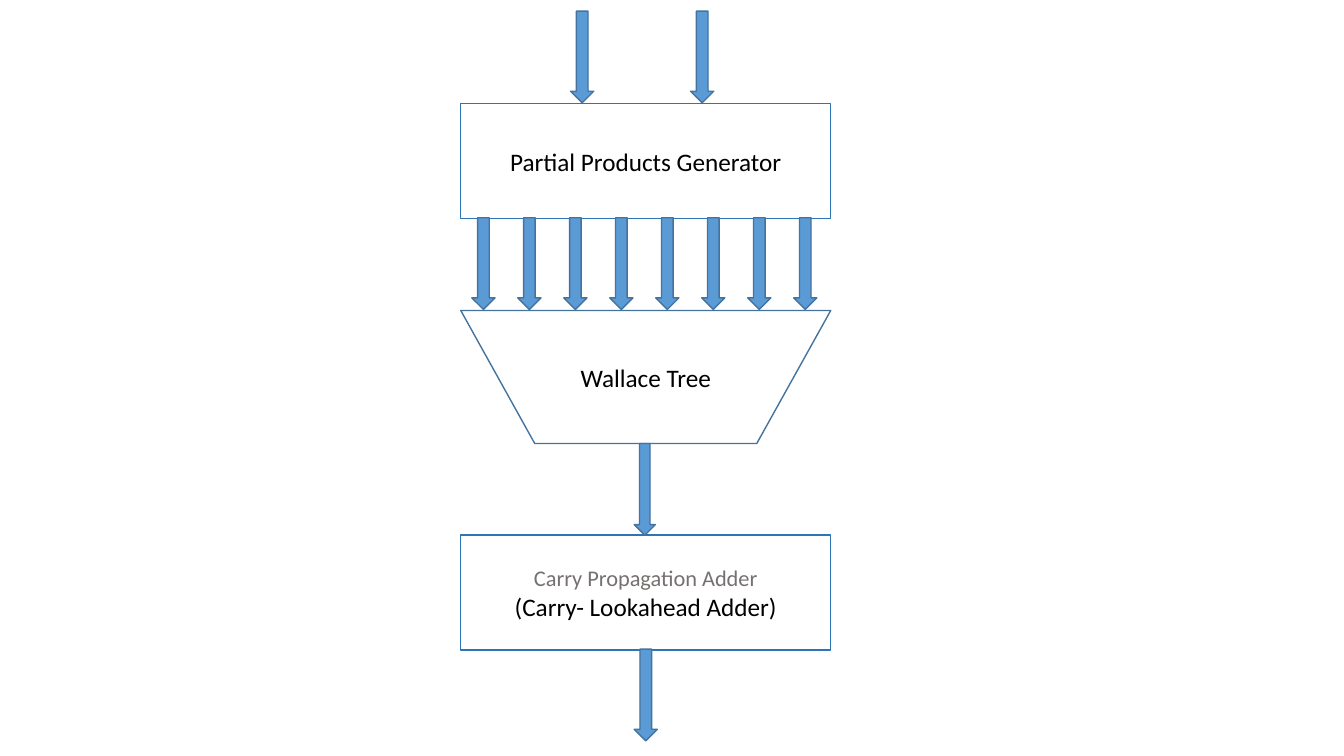
from pptx import Presentation
from pptx.dml.color import RGBColor
from pptx.enum.shapes import MSO_SHAPE
from pptx.enum.text import MSO_ANCHOR, PP_ALIGN
from pptx.util import Inches, Pt

RECTANGLE = MSO_SHAPE.RECTANGLE
FUNNEL = MSO_SHAPE.FLOWCHART_MANUAL_OPERATION
DOWN_ARROW = MSO_SHAPE.DOWN_ARROW
MIDDLE = MSO_ANCHOR.MIDDLE
CENTER = PP_ALIGN.CENTER

FONT = "Calibri"
WHITE, BLACK, GRAY = "FFFFFF", "000000", "767171"
BLUE, BOX_EDGE, DARK_EDGE = "5B9BD5", "2E75B6", "43739E"

STAGE_LEFT, STAGE_WIDTH = 4.57, 3.67
ARROW_WIDTH, ARROW_HEIGHT = 0.23, 0.91
PARTIAL_PRODUCTS, PRODUCT_LEFT, PRODUCT_PITCH = 8, 4.68, 0.456

STAGES = [
    (RECTANGLE, 1.03, 1.14, BOX_EDGE, [("Partial Products Generator", 18, BLACK)]),
    (FUNNEL, 3.08, 1.32, DARK_EDGE, [("Wallace Tree", 18, BLACK)]),
    (RECTANGLE, 5.31, 1.14, BOX_EDGE, [("Carry Propagation Adder", 16, GRAY),
                                       ("(Carry- Lookahead Adder)", 18, BLACK)]),
]

product_lefts = [PRODUCT_LEFT + i * PRODUCT_PITCH for i in range(PARTIAL_PRODUCTS)]
ARROW_ROWS = [
    (0.11, ARROW_WIDTH, [5.66, 6.85]),
    (2.16, ARROW_WIDTH, product_lefts),
    (4.4, 0.21, [6.29]),
    (6.44, ARROW_WIDTH, [6.29]),
]


def color(hex_value):
    return RGBColor.from_string(hex_value)


def add_block(kind, left, top, width, height, fill, edge):
    block = slide.shapes.add_shape(
        kind, Inches(left), Inches(top), Inches(width), Inches(height))
    block.shadow.inherit = False
    block.fill.solid()
    block.fill.fore_color.rgb = color(fill)
    block.line.color.rgb = color(edge)
    block.line.width = Pt(1)
    return block


def write_lines(frame, lines):
    frame.word_wrap = True
    frame.vertical_anchor = MIDDLE
    frame.text = "\n".join(text for text, _, _ in lines)
    for paragraph, (_, size, ink) in zip(frame.paragraphs, lines):
        paragraph.alignment = CENTER
        font = paragraph.runs[0].font
        font.name = FONT
        font.size = Pt(size)
        font.color.rgb = color(ink)


deck = Presentation()
deck.slide_width, deck.slide_height = Inches(13.33), Inches(7.5)
slide = deck.slides.add_slide(deck.slide_layouts[6])

for kind, top, height, edge, lines in STAGES:
    stage = add_block(kind, STAGE_LEFT, top, STAGE_WIDTH, height, WHITE, edge)
    write_lines(stage.text_frame, lines)

for top, width, lefts in ARROW_ROWS:
    for left in lefts:
        add_block(DOWN_ARROW, left, top, width, ARROW_HEIGHT, BLUE, DARK_EDGE)

deck.save("out.pptx")
